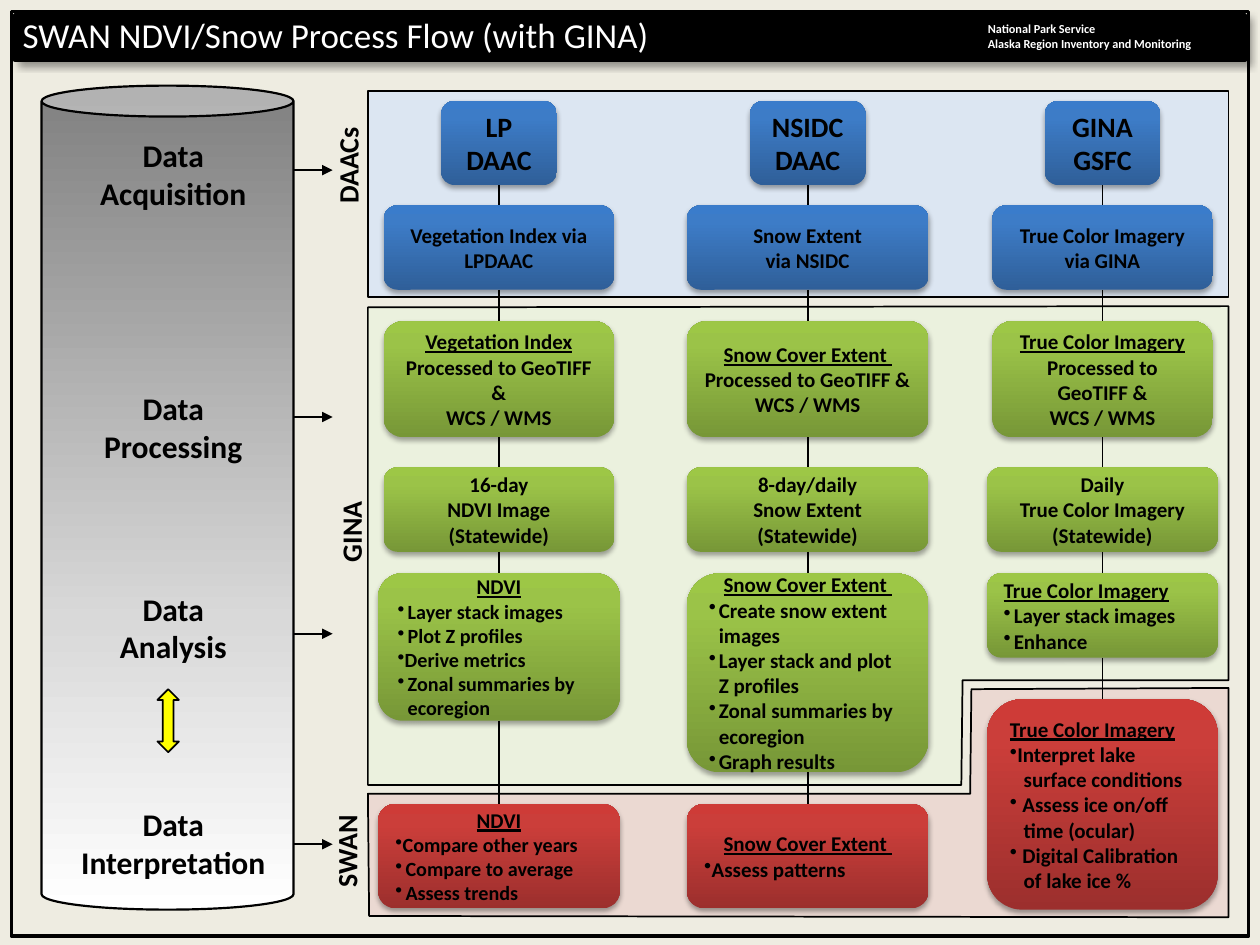
from dataclasses import dataclass
from itertools import pairwise
from lxml.etree import SubElement
from pptx import Presentation
from pptx.dml.color import RGBColor
from pptx.enum.shapes import MSO_CONNECTOR, MSO_SHAPE as Kind
from pptx.enum.text import MSO_ANCHOR as Anchor, PP_ALIGN as Align
from pptx.oxml.ns import qn
from pptx.util import Inches, Pt

BLACK = RGBColor(0x00, 0x00, 0x00)
WHITE = RGBColor(0xFF, 0xFF, 0xFF)
CREAM = RGBColor(0xEE, 0xEC, 0xE1)
YELLOW = RGBColor(0xFF, 0xFF, 0x00)
SKY = RGBColor(0xDC, 0xE6, 0xF2)
MINT = RGBColor(0xEB, 0xF1, 0xDE)
ROSE = RGBColor(0xE6, 0xB9, 0xB8)


def stops(mid: int, *shades: str) -> list[tuple[int, RGBColor]]:
    return list(zip((0, mid, 100), map(RGBColor.from_string, shades)))


GRAY = stops(65, "808080", "D9D9D9", "FFFFFF")
BLUE = stops(80, "2F5F99", "3D7CC7", "3A7CCB")
GREEN = stops(80, "779737", "9BC348", "9DC746")
RED = stops(80, "9C2F2D", "CB3E3A", "CE3B37")


@dataclass
class Line:
    text: str
    align: Align = Align.CENTER
    under: bool = False
    bullet: bool = False
    pad: float = 0
    size: float = 12
    bold: bool = True
    color: RGBColor = BLACK


@dataclass
class Box:
    top: float
    width: float
    height: float
    fill: list
    lines: list[Line]


def head(text: str, align: Align = Align.CENTER) -> Line:
    return Line(text, align, under=True)


def item(text: str, pad: float = 0.08, size: float = 12) -> Line:
    return Line(text, Align.LEFT, bullet=True, pad=pad, size=size)


def more(text: str, pad: float = 0.08, size: float = 12) -> Line:
    return Line(text, Align.LEFT, pad=pad, size=size)


def plain(*texts: str, size: float = 12) -> list[Line]:
    return [Line(text, size=size) for text in texts]


def write(frame, lines: list[Line]) -> None:
    for num, line in enumerate(lines):
        para = frame.add_paragraph() if num else frame.paragraphs[0]
        para.text, para.alignment = line.text, line.align
        props = para._p.get_or_add_pPr()
        if line.pad:
            props.set("marL", str(Inches(line.pad)))
        if line.bullet:
            props.set("indent", str(-Inches(line.pad)))
            SubElement(props, qn("a:buChar"), char="•")
        font = para.font
        font.name, font.size, font.bold = "Calibri", Pt(line.size), line.bold
        font.underline = line.under
        font.color.rgb = line.color


def label(left: float, top: float, width: float, height: float, lines: list[Line],
          wrap: bool = True, inset: tuple = (0.1, 0.05), anchor: Anchor = Anchor.TOP):
    shape = slide.shapes.add_textbox(*map(Inches, (left, top, width, height)))
    frame = shape.text_frame
    frame.word_wrap, frame.vertical_anchor = wrap, anchor
    frame.margin_left = frame.margin_right = Inches(inset[0])
    frame.margin_top = frame.margin_bottom = Inches(inset[1])
    write(frame, lines)
    return shape


def paint(shape, fill: RGBColor | None, width: float) -> None:
    shape.shadow.inherit = False
    if fill is None:
        shape.fill.background()
    else:
        shape.fill.solid()
        shape.fill.fore_color.rgb = fill
    shape.line.color.rgb = BLACK
    shape.line.width = Pt(width)


def form(kind: Kind, left: float, top: float, width: float, height: float,
         fill: RGBColor | None = None, edge: float = 1):
    shape = slide.shapes.add_shape(kind, *map(Inches, (left, top, width, height)))
    paint(shape, fill, edge)
    return shape


def panel(points: list[tuple[float, float]], fill: RGBColor):
    start, *rest = [(Inches(x), Inches(y)) for x, y in points]
    path = slide.shapes.build_freeform(*start)
    path.add_line_segments(rest, close=True)
    shape = path.convert_to_shape()
    paint(shape, fill, 1)
    return shape


def blend(shape, shades: list, angle: float) -> None:
    shape.fill.gradient()
    shape.fill.gradient_angle = angle
    group = shape._element.spPr.find(".//" + qn("a:gsLst"))
    group.clear()
    for pos, color in shades:
        stop = SubElement(group, qn("a:gs"), pos=str(pos * 1000))
        SubElement(stop, qn("a:srgbClr"), val=str(color))


def shade(shape, alpha: int, blur: float, dist: float, angle: int) -> None:
    effects = shape._element.spPr.find(qn("a:effectLst"))
    outer = SubElement(effects, qn("a:outerShdw"), blurRad=str(Pt(blur)), dist=str(Pt(dist)),
                       dir=str(angle * 60000), algn="ctr", rotWithShape="0")
    color = SubElement(outer, qn("a:srgbClr"), val=str(BLACK))
    SubElement(color, qn("a:alpha"), val=str(alpha * 1000))


def link(x1: float, y1: float, x2: float, y2: float, arrow: bool = False) -> None:
    line = slide.shapes.add_connector(MSO_CONNECTOR.STRAIGHT, *map(Inches, (x1, y1, x2, y2)))
    line.line.color.rgb = BLACK
    line.line.width = Pt(1)
    if arrow:
        SubElement(line.line._get_or_add_ln(), qn("a:tailEnd"), type="triangle")
    SubElement(line._element.spPr, qn("a:effectLst"))


def place(mid: float, box: Box) -> None:
    shape = form(Kind.ROUNDED_RECTANGLE, mid - box.width / 2, box.top, box.width, box.height)
    shape.line.fill.background()
    blend(shape, box.fill, 90)
    shade(shape, 35, 3.1, 1.8, 90)
    shape.text_frame.word_wrap = True
    shape.text_frame.vertical_anchor = Anchor.MIDDLE
    write(shape.text_frame, box.lines)


deck = Presentation()
deck.slide_width, deck.slide_height = Inches(10), Inches(7.5)
slide = deck.slides.add_slide(deck.slide_layouts[6])
slide.background.fill.solid()
slide.background.fill.fore_color.rgb = CREAM

# Panels behind the three stages
form(Kind.RECTANGLE, 2.92, 0.72, 6.83, 1.64, SKY)
swan = panel([(9.75, 5.46), (7.71, 5.47), (7.7, 6.3), (2.92, 6.3), (2.93, 7.27), (9.75, 7.28)], ROSE)
tint = swan._element.spPr.find(qn("a:solidFill"))[0]
SubElement(tint, qn("a:alpha"), val="36000")
panel([(9.75, 2.43), (2.92, 2.44), (2.92, 6.23), (7.63, 6.23), (7.64, 5.4), (9.75, 5.4)], MINT)

# Title bar and frame
shade(form(Kind.RECTANGLE, 0.12, 0.12, 9.76, 0.36, BLACK, 2), 40, 4, 3, 45)
owner = ("National Park Service", "Alaska Region Inventory and Monitoring")
label(7.8, 0.12, 1.89, 0.33, [Line(text, Align.LEFT, size=7, color=WHITE) for text in owner],
      inset=(0.04, 0.02), anchor=Anchor.MIDDLE)
label(0.16, 0.1, 6.98, 0.35, [Line("SWAN NDVI/Snow Process Flow (with GINA)", Align.LEFT,
      size=20, bold=False, color=WHITE)], inset=(0.02, 0.01))
form(Kind.RECTANGLE, 0.09, 0.09, 9.82, 7.34, edge=2)

# Cylinder with the four steps
can = form(Kind.CAN, 0.33, 0.68, 2, 6.54, edge=1.25)
can.adjustments[0] = 0.123
blend(can, GRAY, 270)
form(Kind.UP_DOWN_ARROW, 1.25, 5.47, 0.17, 0.5, YELLOW)
for step, top, tip in (("Acquisition", 1.03, 1.35), ("Processing", 3.04, 3.31),
                       ("Analysis", 4.63, 5.03), ("Interpretation", 6.34, 6.7)):
    label(0.5, top, 1.75, 0.71, plain(f"Data\v{step}", size=18))
    link(2.33, tip, 2.64, tip, arrow=True)

# Sideways stage names
for name, left, top, width in (("DAACs", 2.35, 1.12, 0.82), ("GINA", 2.44, 4.03, 0.69),
                               ("SWAN", 2.36, 6.57, 0.78)):
    label(left, top, width, 0.37, [Line(name, Align.LEFT, size=16)], wrap=False).rotation = 270

# Columns of boxes, keyed by their centre
GEO = plain("Processed to GeoTIFF &", "WCS / WMS")
SNOW, TRUE = "Snow Cover Extent ", "True Color Imagery"
columns = {
    3.96: [
        Box(0.8, 0.92, 0.67, BLUE, plain("LP\vDAAC", size=16)),
        Box(1.63, 1.83, 0.67, BLUE, plain("Vegetation Index via LPDAAC")),
        Box(2.55, 1.83, 0.92, GREEN, [head("Vegetation Index"), *GEO]),
        Box(3.71, 1.83, 0.67, GREEN, plain("16-day", "NDVI Image", "(Statewide)")),
        Box(4.55, 1.92, 1.17, GREEN, [
            head("NDVI"), item("Layer stack images", size=11.5), item("Plot Z profiles", size=11.5),
            item("Derive metrics", 0.05, 11.5), item("Zonal summaries by", size=11.5),
            more("ecoregion", size=11.5)]),
        Box(6.38, 1.92, 0.83, RED, [
            head("NDVI"), item("Compare other years", 0.05, 11.5),
            item("Compare to average", size=11.5), item("Assess trends", size=11.5)]),
    ],
    6.41: [
        Box(0.8, 0.92, 0.67, BLUE, plain("NSIDC\vDAAC", size=16)),
        Box(1.63, 1.92, 0.67, BLUE, plain("Snow Extent", "via NSIDC")),
        Box(2.55, 1.92, 0.92, GREEN, [head(SNOW), *GEO]),
        Box(3.71, 1.92, 0.67, GREEN, plain("8-day/daily", "Snow Extent", "(Statewide)")),
        Box(4.55, 1.92, 1.58, GREEN, [
            head(SNOW), item("Create snow extent"), more("images"), item("Layer stack and plot"),
            more("Z profiles"), item("Zonal summaries by"), more("ecoregion"), item("Graph results")]),
        Box(6.38, 1.92, 0.83, RED, [head(SNOW), item("Assess patterns", 0.05)]),
    ],
    8.75: [
        Box(0.8, 0.92, 0.67, BLUE, plain("GINA\vGSFC", size=16)),
        Box(1.63, 1.75, 0.67, BLUE, plain("True Color Imagery via GINA")),
        Box(2.55, 1.75, 0.92, GREEN, [head(TRUE), *GEO]),
        Box(3.71, 1.83, 0.67, GREEN, plain("Daily", TRUE, "(Statewide)")),
        Box(4.55, 1.83, 0.67, GREEN, [head(TRUE, Align.LEFT), item("Layer stack images"), item("Enhance")]),
        Box(5.55, 1.83, 1.67, RED, [
            head(TRUE, Align.LEFT), item("Interpret lake", 0.05), more("surface conditions", 0.11),
            item("Assess ice on/off", 0.1), more("time (ocular)", 0.11),
            item("Digital Calibration", 0.1), more("of lake ice %", 0.11)]),
    ],
}
for mid, boxes in columns.items():
    for box in boxes:
        place(mid, box)
    for above, below in pairwise(boxes):
        link(mid, above.top + above.height, mid, below.top)

deck.save("out.pptx")
